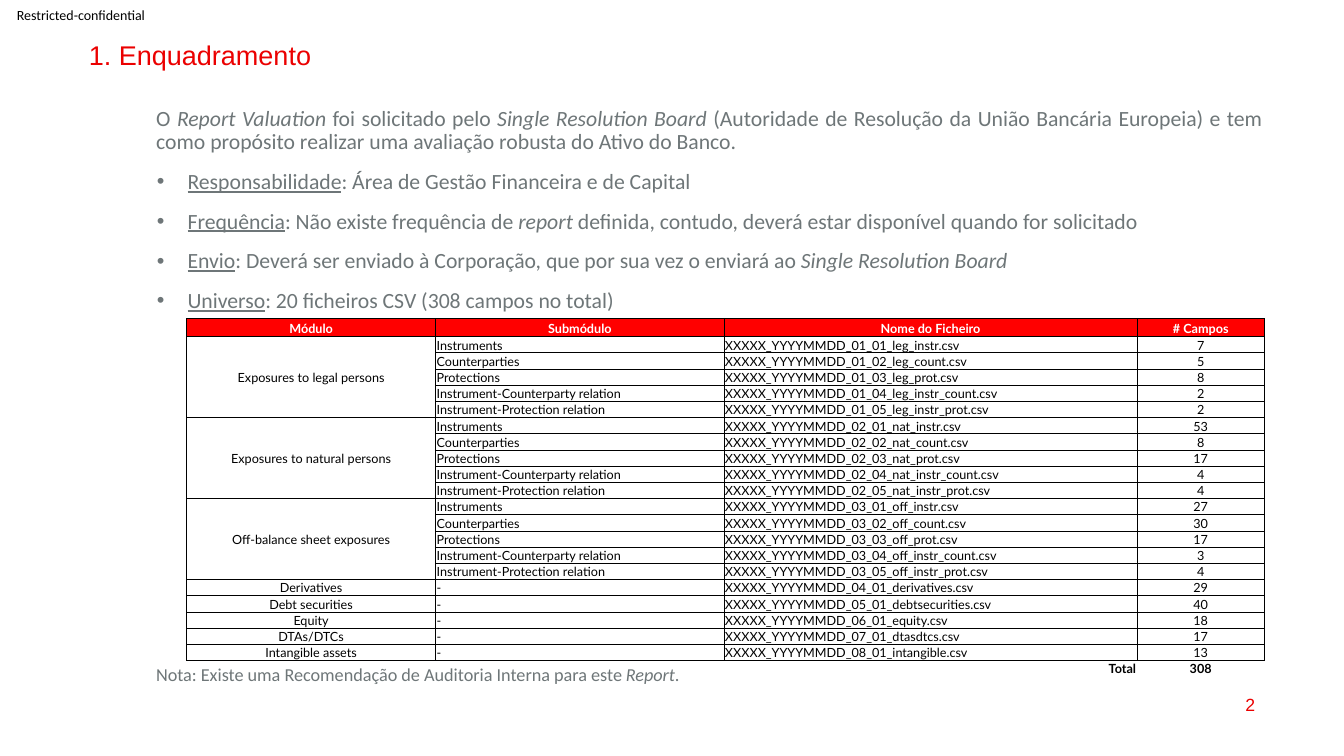
from dataclasses import dataclass
from typing import NamedTuple

import lxml.etree
import pptx
import pptx.dml.color
import pptx.enum.text
import pptx.oxml.ns
import pptx.util

Pt = pptx.util.Pt
ALIGN = pptx.enum.text.PP_ALIGN
ANCHOR = pptx.enum.text.MSO_ANCHOR
qn = pptx.oxml.ns.qn
RED, GREY, BLACK, WHITE = "EB0000", "6E7678", "000000", "FFFFFF"


class Span(NamedTuple):
    text: str
    italic: bool = False
    underline: bool = False


@dataclass
class Style:
    size: float
    face: str
    colour: str
    align: ALIGN = ALIGN.LEFT
    bold: bool = False
    line: float | None = None
    gap: float = 0
    level: int = 0
    margin: float = 0
    hanging: float = 0
    bullet: str = ""


@dataclass
class Module:
    name: str
    submodules: list[str]
    files: list[str]
    fields: list[int]


def rgb(colour: str) -> pptx.dml.color.RGBColor:
    return pptx.dml.color.RGBColor.from_string(colour)


def write(paragraph, spans: list[Span], style: Style, first: bool = True) -> None:
    paragraph.alignment = style.align
    paragraph.level = style.level
    if style.line:
        paragraph.line_spacing = style.line
    paragraph.space_before = Pt(0 if first else style.gap)
    paragraph.space_after = Pt(style.gap)
    properties = paragraph._p.get_or_add_pPr()
    properties.set("marL", str(Pt(style.margin)))
    properties.set("indent", str(Pt(-style.hanging)))
    if style.bullet:
        lxml.etree.SubElement(properties, qn("a:buFont"), typeface="Arial")
        lxml.etree.SubElement(properties, qn("a:buChar"), char=style.bullet)
    else:
        lxml.etree.SubElement(properties, qn("a:buNone"))
    font = paragraph.font
    font.size, font.name, font.bold = Pt(style.size), style.face, style.bold
    font.color.rgb = rgb(style.colour)
    for span in spans:
        run = paragraph.add_run()
        run.text = span.text
        if span.italic:
            run.font.italic = True
        if span.underline:
            run.font.underline = True
    if not spans:
        paragraph._p.get_or_add_endParaRPr().set("sz", str(int(style.size * 100)))


def place(shape, left: float, top: float, width: float, height: float,
          anchor: ANCHOR = ANCHOR.TOP, inset: tuple[float, float] = (7.2, 3.6)):
    shape.left, shape.top, shape.width, shape.height = map(Pt, (left, top, width, height))
    frame = shape.text_frame
    frame.word_wrap = True
    frame.auto_size = pptx.enum.text.MSO_AUTO_SIZE.NONE
    frame.vertical_anchor = anchor
    frame.margin_left = frame.margin_right = Pt(inset[0])
    frame.margin_top = frame.margin_bottom = Pt(inset[1])
    return frame


def add_label(slide, spans: list[Span], style: Style, *box, **layout) -> None:
    label = slide.shapes.add_textbox(0, 0, 0, 0)
    write(place(label, *box, **layout).paragraphs[0], spans, style)


def fill_cell(cell, text: str, style: Style, anchor: ANCHOR = ANCHOR.BOTTOM,
              fill: str = "", sides: str = "LRTB") -> None:
    cell.margin_left = cell.margin_right = cell.margin_top = Pt(0.7)
    cell.margin_bottom = Pt(0)
    cell.vertical_anchor = anchor
    properties = cell._tc.get_or_add_tcPr()
    for side in "LRTB":
        border = lxml.etree.SubElement(properties, qn(f"a:ln{side}"), w=str(Pt(0.5)))
        if side in sides:
            solid = lxml.etree.SubElement(border, qn("a:solidFill"))
            lxml.etree.SubElement(solid, qn("a:srgbClr"), val=BLACK)
        else:
            lxml.etree.SubElement(border, qn("a:noFill"))
    if fill:
        cell.fill.solid()
        cell.fill.fore_color.rgb = rgb(fill)
    else:
        cell.fill.background()
    write(cell.text_frame.paragraphs[0], [Span(text)] if text else [], style)


def add_file_table(slide, modules: list[Module]) -> None:
    headings = ["Módulo", "Submódulo", "Nome do Ficheiro", "# Campos"]
    widths = [178, 206, 295, 91]
    aligns = [ALIGN.CENTER, ALIGN.LEFT, ALIGN.LEFT, ALIGN.CENTER]
    row_count = sum(len(module.files) for module in modules) + 2
    header_height, row_height = 12.9, 11.57
    table = slide.shapes.add_table(
        row_count, len(widths), Pt(133.2), Pt(227.5), Pt(sum(widths)),
        Pt(header_height + row_height * (row_count - 1))).table
    table.first_row = table.horz_banding = False
    for column, width in zip(table.columns, widths):
        column.width = Pt(width)
    for index, row in enumerate(table.rows):
        row.height = Pt(row_height if index else header_height)

    for column, heading in enumerate(headings):
        fill_cell(table.cell(0, column), heading,
                  Style(9, "Lato", WHITE, ALIGN.CENTER, True), fill="FF0000")

    row = 1
    for number, module in enumerate(modules, 1):
        count = len(module.files)
        entries = zip(module.submodules, module.files, module.fields)
        for part, (submodule, file, fields) in enumerate(entries, 1):
            texts = [module.name if part == 1 else "", submodule,
                     f"XXXXX_YYYYMMDD_{number:02}_{part:02}_{file}.csv", str(fields)]
            for column, text in enumerate(texts):
                merged = column == 0 and count > 1
                fill_cell(table.cell(row + part - 1, column), text,
                          Style(9, "Lato", BLACK, aligns[column]),
                          ANCHOR.MIDDLE if merged else ANCHOR.BOTTOM)
        if count > 1:
            table.cell(row, 0).merge(table.cell(row + count - 1, 0))
        row += count

    total = sum(sum(module.fields) for module in modules)
    for column, text in enumerate(["", "", "Total", str(total)]):
        align = ALIGN.CENTER if column == 3 else ALIGN.RIGHT
        fill_cell(table.cell(row, column), text,
                  Style(9, "Lato", BLACK, align, True), sides="T")


def exposure(name: str, code: str, fields: list[int]) -> Module:
    submodules = ["Instruments", "Counterparties", "Protections",
                  "Instrument-Counterparty relation", "Instrument-Protection relation"]
    endings = ["instr", "count", "prot", "instr_count", "instr_prot"]
    return Module(name, submodules, [f"{code}_{ending}" for ending in endings], fields)


def single(name: str, file: str, fields: int) -> Module:
    return Module(name, ["-"], [file], [fields])


MODULES = [
    exposure("Exposures to legal persons", "leg", [7, 5, 8, 2, 2]),
    exposure("Exposures to natural persons", "nat", [53, 8, 17, 4, 4]),
    exposure("Off-balance sheet exposures", "off", [27, 30, 17, 3, 4]),
    single("Derivatives", "derivatives", 29),
    single("Debt securities", "debtsecurities", 40),
    single("Equity", "equity", 18),
    single("DTAs/DTCs", "dtasdtcs", 17),
    single("Intangible assets", "intangible", 13),
]
PURPOSE = [
    Span("O "), Span("Report Valuation ", italic=True), Span("foi solicitado pelo "),
    Span("Single Resolution Board ", italic=True),
    Span("(Autoridade de Resolução da União Bancária Europeia) e tem como propósito "
         "realizar uma avaliação robusta do Ativo do Banco."),
]
FACTS = [
    [Span("Responsabilidade", underline=True), Span(": Área de Gestão Financeira e de Capital")],
    [Span("Frequência", underline=True), Span(": Não existe frequência de "),
     Span("report", italic=True),
     Span(" definida, contudo, deverá estar disponível quando for solicitado")],
    [Span("Envio", underline=True),
     Span(": Deverá ser enviado à Corporação, que por sua vez o enviará ao "),
     Span("Single Resolution Board", italic=True)],
    [Span("Universo", underline=True), Span(": 20 ficheiros CSV (308 campos no total)")],
]
NOTE = [Span("Nota: Existe uma Recomendação de Auditoria Interna para este "),
        Span("Report", italic=True), Span(".")]


def main() -> None:
    deck = pptx.Presentation()
    deck.slide_width, deck.slide_height = Pt(960), Pt(540)
    slide = deck.slides.add_slide(deck.slide_layouts[1])

    add_label(slide, [Span("Restricted-confidential")], Style(10, "Calibri", BLACK),
              12, 0, 104, 21, anchor=ANCHOR.MIDDLE, inset=(0, 0))
    heading = place(slide.shapes.title, 56.2, 26.6, 846.7, 23.8)
    write(heading.paragraphs[0], [Span("1. Enquadramento")],
          Style(19.3, "Arial", RED, line=0.9))

    framing = place(slide.placeholders[1], 69.8, 73.4, 838.8, 456.5)
    purpose = Style(15.5, "Calibri", GREY, ALIGN.JUSTIFY, line=0.9, gap=5.8,
                    level=1, margin=34.6)
    write(framing.paragraphs[0], PURPOSE, purpose)
    fact_style = Style(15.5, "Calibri", GREY, ALIGN.JUSTIFY, line=0.9, gap=5.8,
                       level=1, margin=57, hanging=22, bullet="•")
    for fact in FACTS:
        write(framing.add_paragraph(), fact, fact_style, first=False)

    add_label(slide, [Span("2")], Style(12.6, "Arial", RED, ALIGN.RIGHT),
              687.6, 488.9, 216, 28.8, anchor=ANCHOR.MIDDLE)
    add_file_table(slide, MODULES)
    add_label(slide, NOTE, Style(13, "Calibri", GREY, ALIGN.JUSTIFY, level=1, margin=34.6),
              69.8, 470.2, 890, 23)
    deck.save("out.pptx")


if __name__ == "__main__":
    main()
